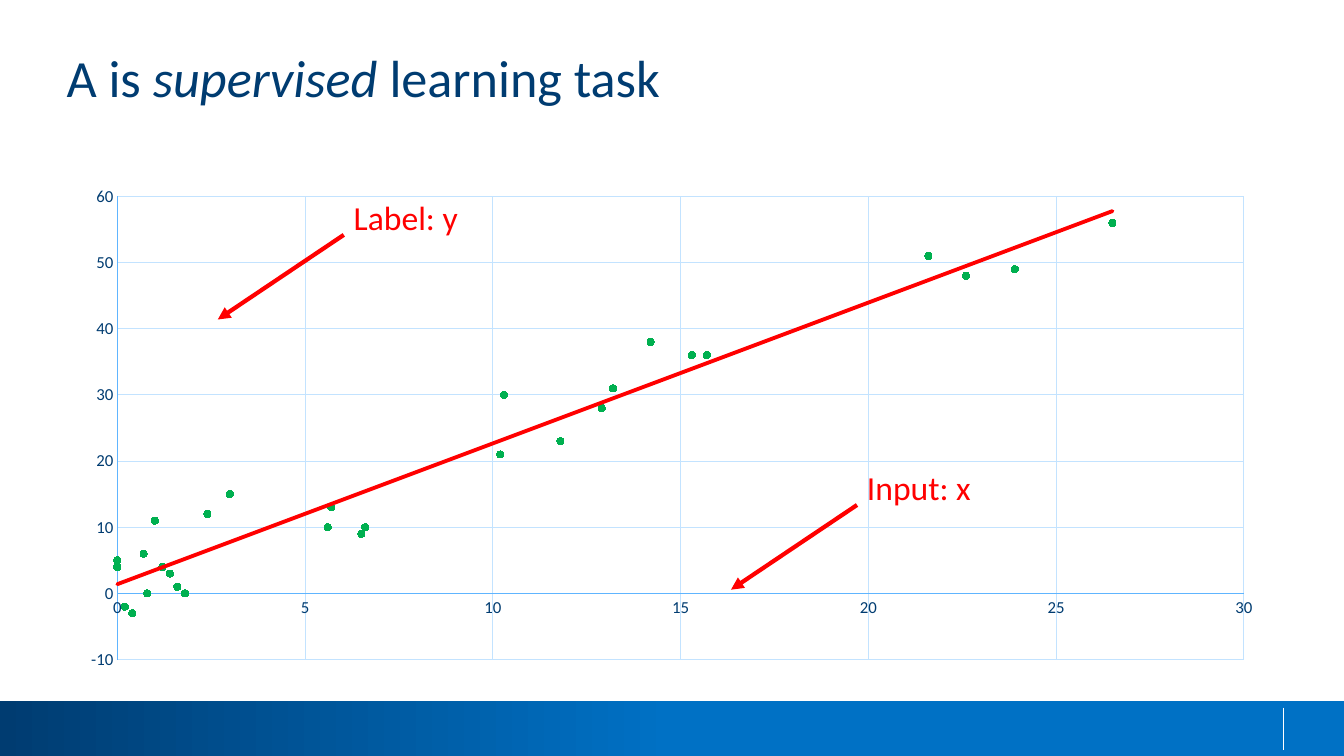
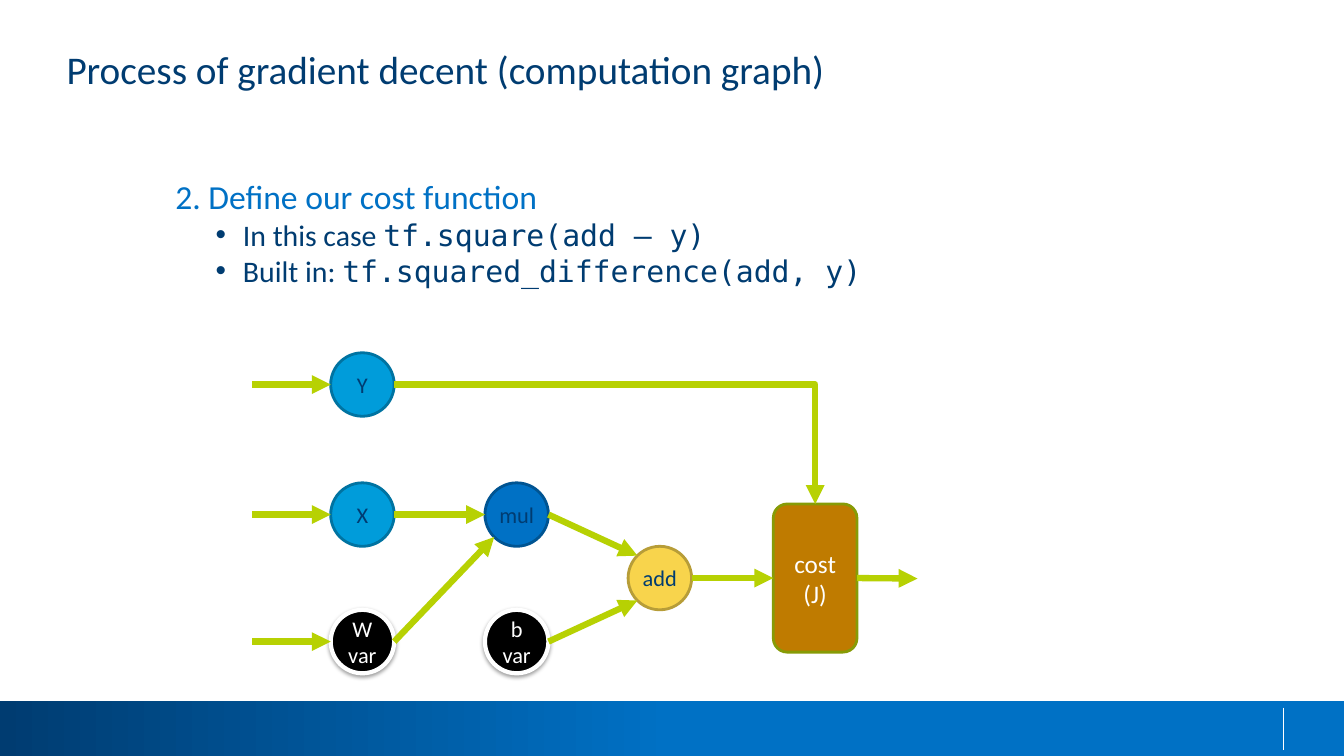
from math import cos, radians, sin

from lxml import etree
from pptx import Presentation
from pptx.chart.data import XyChartData
from pptx.dml.color import RGBColor
from pptx.enum.chart import XL_CHART_TYPE as ChartType, XL_MARKER_STYLE as Marker, XL_TICK_MARK as Tick
from pptx.enum.shapes import MSO_CONNECTOR as Connector, MSO_SHAPE as Shape
from pptx.enum.text import MSO_ANCHOR as Anchor, PP_ALIGN as Align
from pptx.oxml import parse_xml
from pptx.oxml.ns import nsdecls, qn
from pptx.util import Inches, Pt

NAVY, BLUE, WHITE, RED, GREEN = "003C71", "0071C5", "FFFFFF", "FF0000", "00B050"
SKY, BLACK, LIME, AXIS, GRID = "009CDA", "000000", "B7D103", "60B5FF", "C3E3FF"
SANS, MONO = "Calibri", "DejaVu Sans Mono"

REGRESSION_TITLE = [("A is ", False), ("supervised ", True), ("learning task", False)]
GRAPH_TITLE = [("Process of gradient decent (computation graph)", False)]

POINTS = [
    (1.2, 4), (6.5, 9), (13.2, 31), (15.3, 36), (0, 5), (1.6, 1), (5.7, 13), (0.8, 0),
    (11.8, 23), (22.6, 48), (0, 4), (23.9, 49), (1.4, 3), (10.3, 30), (3, 15), (26.5, 56),
    (1.8, 0), (14.2, 38), (1, 11), (21.6, 51), (2.4, 12), (0.7, 6), (0.4, -3), (5.6, 10),
    (12.9, 28), (0.2, -2), (6.6, 10), (10.2, 21), (15.7, 36),
]
PLOT_LAYOUT = {"x": 0.042, "y": 0.038, "w": 0.932, "h": 0.921}
CALLOUTS = [("Label: y", 3.41, 1.9, 1.38), ("Input: x", 8.5, 4.58, 1.31)]

COST_HEADING = "2. Define our cost function"
COST_BULLETS = [
    ("In this case ", "tf.square(add – y)"),
    ("Built in: ", "tf.squared_difference(add, y)"),
]

DIAMETER = 0.63
INPUT_START = 2.5
NODES = {
    "Y": (["Y"], 3.28, 3.5, SKY, "0073A1", NAVY),
    "X": (["X"], 3.28, 4.79, SKY, "0073A1", NAVY),
    "W": (["W", "var"], 3.28, 6.05, BLACK, WHITE, WHITE),
    "mul": (["mul"], 4.81, 4.79, BLUE, "005492", NAVY),
    "b": (["b", "var"], 4.81, 6.05, BLACK, WHITE, WHITE),
    "add": (["add"], 6.23, 5.42, "F8D44C", "B79D38", NAVY),
}
INPUTS = ["Y", "X", "W"]
LINKS = [("X", "mul", 180), ("W", "mul", 135), ("mul", "add", 225), ("b", "add", 135)]
COST_BOX = (7.67, 5, 0.83, 1.47)
OUTPUT_END = (9.1, 5.74)


def color(value):
    return RGBColor.from_string(value)


def box(*lengths):
    return [Inches(length) for length in lengths]


def set_font(font, size, value=NAVY, name=SANS):
    font.size, font.name = Pt(size), name
    font.color.rgb = color(value)


def set_line(line, value, width):
    line.color.rgb = color(value)
    line.width = Pt(width)


def set_fill(fill, value):
    fill.solid()
    fill.fore_color.rgb = color(value)


def clear_margins(frame):
    frame.margin_left = frame.margin_top = frame.margin_right = frame.margin_bottom = 0


def add_line(slide, start, end, value, width, arrow=True, kind=Connector.STRAIGHT):
    connector = slide.shapes.add_connector(kind, *box(*start, *end))
    set_line(connector.line, value, width)
    properties = connector.element.spPr
    if arrow:
        etree.SubElement(properties.find(qn("a:ln")), qn("a:tailEnd"), type="triangle")
    etree.SubElement(properties, qn("a:effectLst"))
    return connector


def add_footer(slide, layout):
    band = slide.shapes.add_shape(Shape.RECTANGLE, *box(0, 6.95, 13.33, 0.56))
    band.shadow.inherit = False
    band.line.fill.background()
    band.fill.gradient()
    band.fill.gradient_angle = 0
    for stop, position, value in zip(band.fill.gradient_stops, (0, 0.5), (NAVY, BLUE)):
        stop.position = position
        stop.color.rgb = color(value)
    divider = add_line(slide, (12.73, 7.02), (12.73, 7.44), WHITE, 0.75, arrow=False)
    for shape in (band, divider):
        layout.shapes.element.append(shape.element)


def set_title(slide, runs, size):
    title = slide.shapes.title
    title.left, title.top, title.width, title.height = box(0.66, 0.45, 12, 1.27)
    frame = title.text_frame
    clear_margins(frame)
    frame.vertical_anchor = Anchor.TOP
    paragraph = frame.paragraphs[0]
    paragraph.alignment = Align.LEFT
    set_font(paragraph.font, size)
    for text, italic in runs:
        run = paragraph.add_run()
        run.text = text
        run.font.italic = italic


def add_label(slide, text, left, top, width):
    frame = slide.shapes.add_textbox(*box(left, top, width, 0.5)).text_frame
    frame.word_wrap = False
    frame.text = text
    set_font(frame.paragraphs[0].font, 24, RED)


def format_axis(axis, low, high, step):
    axis.minimum_scale, axis.maximum_scale, axis.major_unit = low, high, step
    axis.major_tick_mark = axis.minor_tick_mark = Tick.NONE
    axis.has_major_gridlines = True
    set_line(axis.major_gridlines.format.line, GRID, 0.75)
    set_line(axis.format.line, AXIS, 0.75)
    set_font(axis.tick_labels.font, 12)
    axis.tick_labels.number_format = "General"
    axis.tick_labels.number_format_is_linked = False


def add_trendline(series):
    trendline = parse_xml(
        f'<c:trendline {nsdecls("c", "a")}><c:spPr><a:ln w="{Pt(2.75)}" cap="rnd"><a:solidFill>'
        f'<a:srgbClr val="{RED}"/></a:solidFill></a:ln></c:spPr><c:trendlineType val="linear"/>'
        '<c:dispRSqr val="0"/><c:dispEq val="0"/></c:trendline>'
    )
    series._element.find(qn("c:xVal")).addprevious(trendline)


def set_plot_layout(chart):
    plot_area = chart._chartSpace.find(".//" + qn("c:plotArea"))
    for old_layout in plot_area.findall(qn("c:layout")):
        plot_area.remove(old_layout)
    layout = etree.Element(qn("c:layout"))
    manual = etree.SubElement(layout, qn("c:manualLayout"))
    settings = {"layoutTarget": "inner", "xMode": "edge", "yMode": "edge", **PLOT_LAYOUT}
    for name, value in settings.items():
        etree.SubElement(manual, qn("c:" + name), val=str(value))
    plot_area.insert(0, layout)


def add_scatter(slide):
    data = XyChartData()
    values = data.add_series("Series 1")
    for x, y in POINTS:
        values.add_data_point(x, y)
    frame = slide.shapes.add_chart(ChartType.XY_SCATTER, *box(0.66, 1.76, 11.99, 4.99), data)
    chart = frame.chart
    chart.has_legend = chart.has_title = False
    set_font(chart.font, 10, BLACK)
    chart.plots[0].vary_by_categories = False
    format_axis(chart.category_axis, 0, 30, 5)
    format_axis(chart.value_axis, -10, 60, 10)
    series = chart.plots[0].series[0]
    series.format.line.fill.background()
    series.marker.style, series.marker.size = Marker.CIRCLE, 5
    set_fill(series.marker.format.fill, GREEN)
    set_line(series.marker.format.line, GREEN, 0.75)
    add_trendline(series)
    set_plot_layout(chart)


def add_cost_text(slide):
    frame = slide.shapes.add_textbox(*box(1.74, 1.75, 10.7, 1.43)).text_frame
    frame.word_wrap = True
    clear_margins(frame)
    frame.text = COST_HEADING
    set_font(frame.paragraphs[0].font, 24, BLUE)
    for words, code in COST_BULLETS:
        paragraph = frame.add_paragraph()
        paragraph.level = 1
        for text, name in ((words, SANS), (code, MONO)):
            run = paragraph.add_run()
            run.text = text
            set_font(run.font, 21.3, NAVY, name)
        properties = paragraph._p.get_or_add_pPr()
        properties.set("marL", str(Inches(0.67)))
        properties.set("indent", str(Inches(-0.27)))
        etree.SubElement(properties, qn("a:buFont"), typeface="Arial")
        etree.SubElement(properties, qn("a:buChar"), char="•")


def add_block(slide, kind, bounds, lines, fill, outline, width, text_color, size):
    shape = slide.shapes.add_shape(kind, *box(*bounds))
    shape.shadow.inherit = False
    set_fill(shape.fill, fill)
    set_line(shape.line, outline, width)
    frame = shape.text_frame
    frame.word_wrap = kind != Shape.OVAL
    frame.vertical_anchor = Anchor.MIDDLE
    frame.text = "\n".join(lines)
    for paragraph in frame.paragraphs:
        paragraph.alignment = Align.CENTER
        set_font(paragraph.font, size, text_color)
    return shape


def add_shadow(shape):
    effects = shape.element.spPr.find(qn("a:effectLst"))
    effects.append(parse_xml(
        f'<a:outerShdw {nsdecls("a")} blurRad="{Pt(3.1)}" dist="{Pt(1.6)}" dir="5400000" '
        f'rotWithShape="0"><a:srgbClr val="{BLACK}"><a:alpha val="38000"/></a:srgbClr></a:outerShdw>'
    ))


def add_node(slide, lines, left, top, fill, outline, text_color):
    is_variable = len(lines) > 1
    bounds = (left, top, DIAMETER, DIAMETER)
    node = add_block(slide, Shape.OVAL, bounds, lines, fill, outline,
                     3 if is_variable else 2, text_color, 16)
    if is_variable:
        add_shadow(node)
    return node


def rim(name, angle):
    left, top = NODES[name][1:3]
    radius = DIAMETER / 2
    return (left + radius * (1 + cos(radians(angle))), top + radius * (1 + sin(radians(angle))))


def add_computation_graph(slide):
    nodes = {name: add_node(slide, *node) for name, node in NODES.items()}
    cost = add_block(slide, Shape.ROUNDED_RECTANGLE, COST_BOX, ["cost", "(J)"],
                     "BF7B00", "879B06", 2, WHITE, 18)

    def arrow(start, end, kind=Connector.STRAIGHT):
        return add_line(slide, start, end, LIME, 4.5, kind=kind)

    for name in INPUTS:
        end = rim(name, 180)
        arrow((INPUT_START, end[1]), end)
    for source, target, angle in LINKS:
        arrow(rim(source, 0), rim(target, angle))

    left, top, width, height = COST_BOX
    middle = top + height / 2
    arrow(rim("add", 0), (left, middle)).end_connect(cost, 1)
    arrow((left + width, middle), OUTPUT_END).begin_connect(cost, 3)

    label_path = arrow(rim("Y", 0), (left + width / 2, top), Connector.ELBOW)
    label_path.begin_connect(nodes["Y"], 3)
    label_path.end_connect(cost, 0)
    label_path.element.find(".//" + qn("a:stCxn")).set("idx", "6")
    label_path.element.spPr.find(qn("a:prstGeom")).set("prst", "bentConnector2")


def main():
    presentation = Presentation()
    presentation.slide_width, presentation.slide_height = box(13.33, 7.5)
    layout = presentation.slide_layouts[5]

    regression = presentation.slides.add_slide(layout)
    add_footer(regression, layout)
    set_title(regression, REGRESSION_TITLE, 37.3)
    add_scatter(regression)
    for text, left, top, width in CALLOUTS:
        add_line(regression, (left, top + 0.43), (left - 1.25, top + 1.27), RED, 3)
        add_label(regression, text, left, top, width)

    graph = presentation.slides.add_slide(layout)
    set_title(graph, GRAPH_TITLE, 28)
    add_cost_text(graph)
    add_computation_graph(graph)

    presentation.save("out.pptx")


if __name__ == "__main__":
    main()
